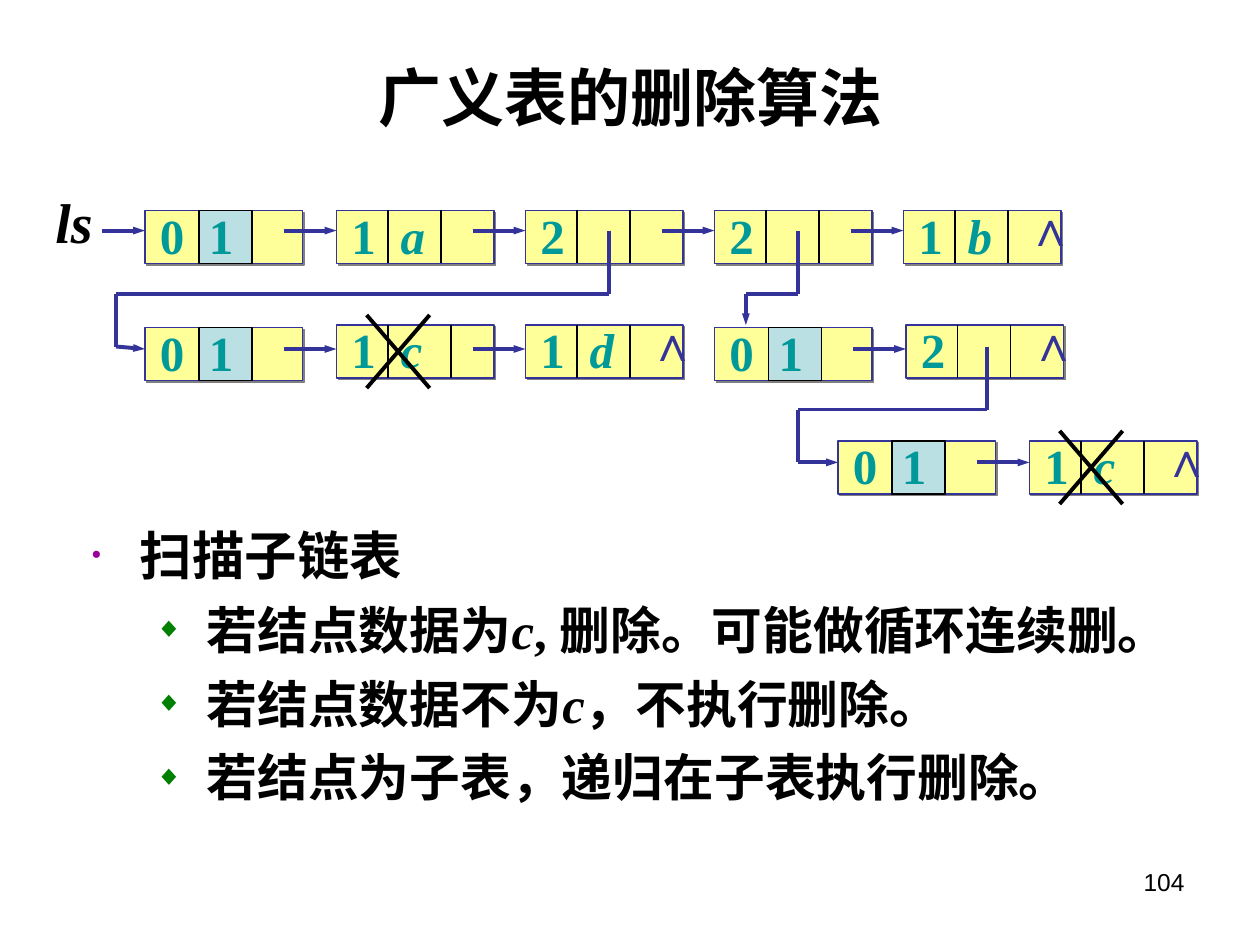
from itertools import pairwise

from pptx import Presentation
from pptx.dml.color import RGBColor
from pptx.enum import shapes, text
from pptx.oxml import parse_xml
from pptx.oxml import ns
from pptx.util import Inches, Pt

BLACK = RGBColor(0x00, 0x00, 0x00)
NAVY = RGBColor(0x33, 0x33, 0x99)
YELLOW = RGBColor(0xFF, 0xFF, 0x99)
PALE_BLUE = RGBColor(0xBB, 0xE0, 0xE3)
TEAL = RGBColor(0x00, 0x99, 0x99)
PURPLE = RGBColor(0x99, 0x00, 0x99)
GREEN = RGBColor(0x00, 0x80, 0x00)
SERIF, SANS = "Times New Roman", "Arial"

# Content
TITLE = "广义表的删除算法"
PAGE_NUMBER = "104"
LIST_NAME = "ls"

# Each sublist: height of its arrows, then nodes (left, top, tag, data, is last)
SUBLISTS = [
    (1.83, [(1.15, 1.67, "0", "1", False), (2.67, 1.67, "1", "a", False),
            (4.17, 1.67, "2", "", False), (5.67, 1.67, "2", "", False),
            (7.17, 1.67, "1", "b", True)]),
    (2.77, [(1.15, 2.6, "0", "1", False), (2.67, 2.58, "1", "c", False),
            (4.17, 2.58, "1", "d", True)]),
    (2.77, [(5.67, 2.6, "0", "1", False), (7.19, 2.58, "2", "", True)]),
    (3.67, [(6.65, 3.5, "0", "1", False), (8.17, 3.5, "1", "c", True)]),
]
# Bent links from the list name and from each sublist node to its head node
LINKS = [
    [(0.81, 1.83), (1.15, 1.83)],
    [(4.83, 1.83), (4.83, 2.33), (0.92, 2.33), (0.92, 2.75), (1.15, 2.77)],
    [(6.33, 1.83), (6.33, 2.33), (5.92, 2.33), (5.92, 2.58)],
    [(7.83, 2.75), (7.83, 3.25), (6.33, 3.25), (6.33, 3.67), (6.65, 3.67)],
]
# Bullet levels: mark, colour, mark size %, margin, hanging, size, space before
LEVELS = [
    ("•", PURPLE, 50, 0.38, 0.38, 30, 7.5),
    ("◆", GREEN, 55, 0.91, 0.41, 29, 7.3),
]
# Bullets: level, then spans (words, italic)
BULLETS = [
    (0, [("扫描子链表", False)]),
    (1, [("若结点数据为", False), ("c", True), (", 删除。可能做循环连续删。", False)]),
    (1, [("若结点数据不为", False), ("c", True), ("，不执行删除。", False)]),
    (1, [("若结点为子表，递归在子表执行删除。", False)]),
]
NODE_HEIGHT = CELL = 0.42
DELETED = "c"

deck = Presentation()
deck.slide_width, deck.slide_height = Inches(10), Inches(7.5)
page = deck.slides.add_slide(deck.slide_layouts[1])


def xml(tag, attributes="", inner=""):
    return parse_xml(f"<a:{tag} {ns.nsdecls('a')} {attributes}>{inner}</a:{tag}>")


def add_span(para, words, color, **formats):
    span = para.add_run()
    span.text = words
    span.font.color.rgb = color
    for name, value in formats.items():
        setattr(span.font, name, value)


def place(shape, left, top, width, height):
    for name, value in dict(left=left, top=top, width=width, height=height).items():
        setattr(shape, name, Inches(value))


def add_label(left, top, width, height=0.57, right_inset=0):
    """Add a one-line label; without a right inset its text has room to spare."""
    box = page.shapes.add_textbox(*map(Inches, (left, top, width, height)))
    box.text_frame.word_wrap = False
    box.text_frame.margin_right = Inches(right_inset)
    return box.text_frame.paragraphs[0]


def add_rect(left, top, width, fill, line):
    rect = page.shapes.add_shape(shapes.MSO_SHAPE.RECTANGLE,
                                 *map(Inches, (left, top, width, NODE_HEIGHT)))
    rect.shadow.inherit = False
    rect.fill.solid()
    rect.fill.fore_color.rgb = fill
    rect.line.color.rgb = line
    rect.line.width = Pt(0.75)
    return rect


def add_line(start, end, color=NAVY, width=2.25, arrow=False):
    line = page.shapes.add_connector(shapes.MSO_CONNECTOR.STRAIGHT,
                                     *map(Inches, (*start, *end)))
    line.line.color.rgb = color
    line.line.width = Pt(width)
    if arrow:
        line.line._get_or_add_ln().append(xml("tailEnd", 'type="triangle" w="sm" len="med"'))
    line._element.spPr.append(xml("effectLst"))


def add_node(left, top, tag, data, last):
    is_head, deleted = tag == "0", data == DELETED
    width = 1.33 if deleted and last else 1.25
    rect = add_rect(left, top, width, YELLOW, NAVY)
    effects = rect._element.spPr.find(ns.qn("a:effectLst"))
    effects.append(xml("outerShdw", 'dist="17961" dir="2700000"', '<a:srgbClr val="808080"/>'))

    # Cells of the node
    if is_head:
        add_rect(left + 0.43, top, CELL, PALE_BLUE, BLACK)
    else:
        for offset in (0.41, 0.91 if deleted else 0.83):
            add_line((left + offset, top), (left + offset, top + NODE_HEIGHT), BLACK, 0.75)

    # Tag and data, spaced by a tab stop
    para = add_label(left + 0.02, top - 0.09, 0.78 if data else 0.39)
    style = dict(size=Pt(28), name=SERIF, bold=True)
    add_span(para, tag + ("\t" if data else ""), TEAL, **style)
    if data:
        stop = f'<a:tab pos="{Inches(0.39)}" algn="l"/>'
        para._p.get_or_add_pPr().append(xml("tabLst", "", stop))
        add_span(para, data, TEAL, italic=not is_head, **style)
    if last:
        para = add_label(left + width - 0.37, top - 0.15, 0.33)
        add_span(para, "∧", NAVY, size=Pt(28), name=SANS, bold=True)
    if deleted:
        near, far = left + 0.24, left + 0.74
        for start, end in ((near, far), (far, near)):
            add_line((start, top - 0.08), (end, top + 0.5), BLACK)


# Linked lists
for _, nodes in SUBLISTS:
    for node in nodes:
        add_node(*node)
for arrow_y, nodes in SUBLISTS:
    for left, *_ in nodes[1:]:
        add_line((left - CELL, arrow_y), (left, arrow_y), arrow=True)
for link in LINKS:
    for start, end in pairwise(link):
        add_line(start, end, arrow=end == link[-1])
add_span(add_label(0.34, 1.44, 0.49, 0.64), LIST_NAME, BLACK,
         size=Pt(32), name=SERIF, bold=True, italic=True)

# Title
title = page.shapes.title
place(title, 0.5, 0.35, 9, 0.83)
title.text_frame.auto_size = text.MSO_AUTO_SIZE.NONE
title.text_frame.vertical_anchor = text.MSO_ANCHOR.MIDDLE
para = title.text_frame.paragraphs[0]
para.alignment = text.PP_ALIGN.CENTER
add_span(para, TITLE, BLACK, size=Pt(36), name=SANS, bold=True)

# Bullets
body = page.placeholders[1]
place(body, 0.63, 4.1, 9.15, 4.25)
frame = body.text_frame
frame.auto_size = text.MSO_AUTO_SIZE.NONE
for number, (level, spans) in enumerate(BULLETS):
    para = frame.add_paragraph() if number else frame.paragraphs[0]
    mark, color, percent, margin, hanging, size, before = LEVELS[level]
    para.level = level
    para.space_before = Pt(before)
    props = para._p.get_or_add_pPr()
    props.set("marL", str(Inches(margin)))
    props.set("indent", str(-Inches(hanging)))
    props.append(xml("buClr", "", f'<a:srgbClr val="{color}"/>'))
    props.append(xml("buSzPct", f'val="{percent * 1000}"'))
    props.append(xml("buChar", f'char="{mark}"'))
    for words, italic in spans:
        add_span(para, words, BLACK, size=Pt(size), name=SERIF, bold=True, italic=italic)

# Page number
para = add_label(7.17, 6.83, 2.33, 0.52, right_inset=0.1)
para.alignment = text.PP_ALIGN.RIGHT
add_span(para, PAGE_NUMBER, BLACK, size=Pt(14), name=SANS)

deck.save("out.pptx")
